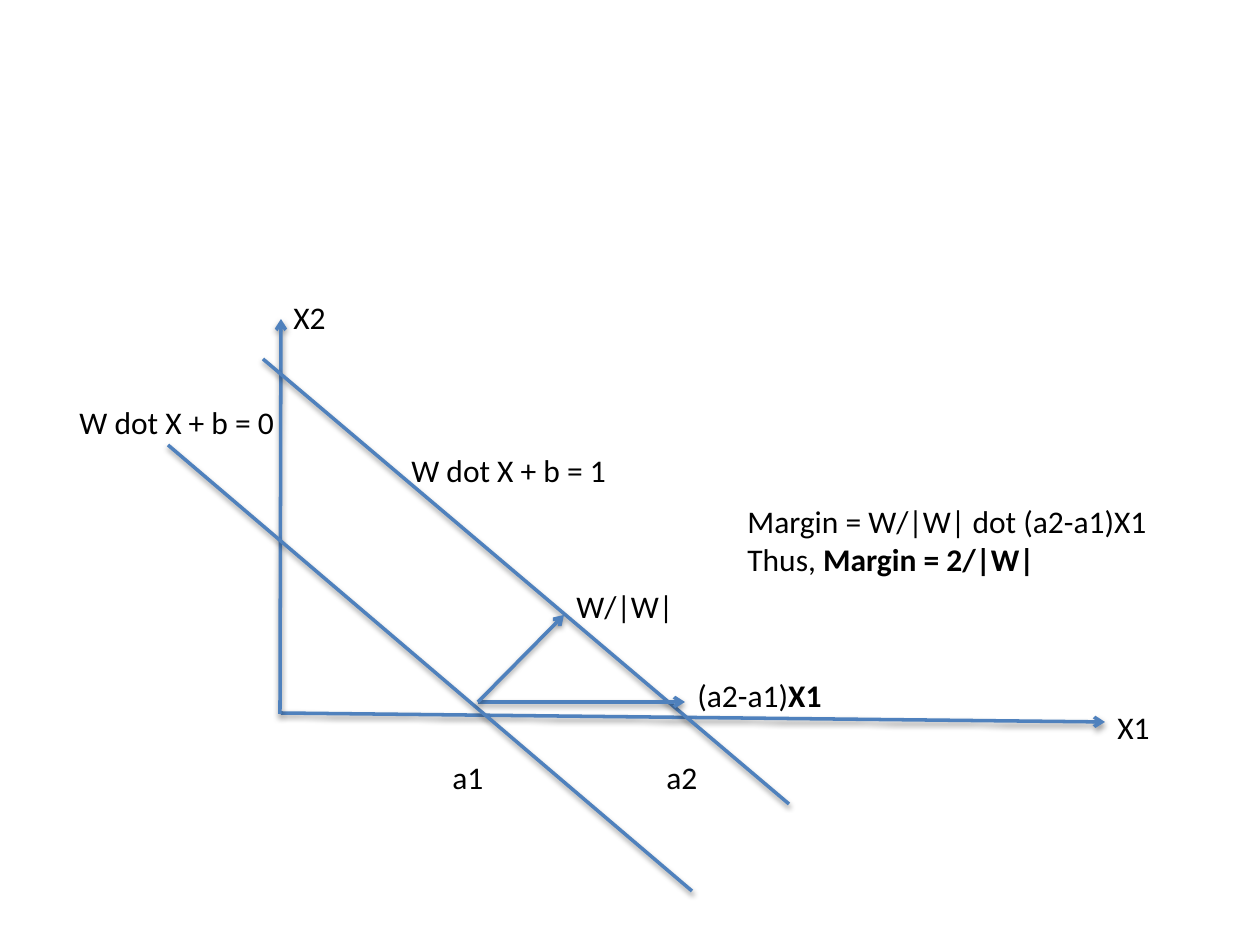
from typing import NamedTuple

from lxml import etree
from pptx import Presentation
from pptx.dml.color import RGBColor
from pptx.enum.shapes import MSO_CONNECTOR
from pptx.enum.text import MSO_AUTO_SIZE
from pptx.oxml import parse_xml
from pptx.oxml.ns import qn
from pptx.util import Pt

STRAIGHT = MSO_CONNECTOR.STRAIGHT
GROW = MSO_AUTO_SIZE.SHAPE_TO_FIT_TEXT
SCALE = 914400 / 126
BLUE, BLACK = "4F81BD", "000000"
FONT = "Calibri"
SHADOW = (
    '<a:effectLst xmlns:a="http://schemas.openxmlformats.org/drawingml/2006/main">'
    '<a:outerShdw blurRad="40000" dist="20000" dir="5400000" rotWithShape="0">'
    '<a:srgbClr val="000000"><a:alpha val="38000"/></a:srgbClr>'
    "</a:outerShdw></a:effectLst>"
)


class Line(NamedTuple):
    x1: int
    y1: int
    x2: int
    y2: int
    arrow: bool = False


class Label(NamedTuple):
    """Each row is a plain part followed by a bold part."""
    x: int
    y: int
    w: int
    h: int
    rows: list[tuple[str, str]]
    wrap: bool = False


AXES = [Line(281, 713, 1105, 722, True), Line(280, 714, 281, 319, True)]
PLANES = [Line(168, 445, 692, 891), Line(263, 359, 789, 804)]
VECTORS = [Line(478, 702, 685, 702, True), Line(478, 702, 564, 615, True)]

LABELS = [
    Label(399, 445, 222, 50, [("W dot X + b = 1", "")]),
    Label(67, 397, 222, 50, [("W dot X + b = 0", "")]),
    Label(440, 752, 92, 50, [("a1", "")], True),
    Label(654, 752, 57, 50, [("a2", "")]),
    Label(685, 670, 150, 50, [("(a2-a1)", "X1")]),
    Label(564, 581, 123, 50, [("W/|W|", "")]),
    Label(281, 292, 58, 50, [("X2", "")]),
    Label(1105, 702, 58, 50, [("X1", "")]),
    Label(735, 496, 426, 88, [("Margin = W/|W| dot (a2-a1)X1", ""),
                              ("Thus, ", "Margin = 2/|W|")]),
]


def px(n: int) -> int:
    return round(n * SCALE)


def color(code: str) -> RGBColor:
    return RGBColor.from_string(code)


def draw_line(slide, item: Line) -> None:
    ends = map(px, item[:4])
    line = slide.shapes.add_connector(STRAIGHT, *ends)
    line.line.color.rgb = color(BLUE)
    line.line.width = Pt(2)
    props = line._element.spPr
    if item.arrow:
        etree.SubElement(props.find(qn("a:ln")), qn("a:tailEnd"), type="arrow")
    props.append(parse_xml(SHADOW))


def draw_label(slide, item: Label) -> None:
    box = slide.shapes.add_textbox(*map(px, item[:4]))
    frame = box.text_frame
    frame.word_wrap = item.wrap
    frame.auto_size = GROW
    frame.text = "\n".join(plain for plain, _ in item.rows)
    for para, (_, bold) in zip(frame.paragraphs, item.rows):
        if bold:
            run = para.add_run()
            run.text = bold
            run.font.bold = True
        for run in para.runs:
            run.font.name = FONT
            run.font.size = Pt(18)
            run.font.color.rgb = color(BLACK)


def main() -> None:
    deck = Presentation()
    deck.slide_width, deck.slide_height = px(1260), px(945)
    slide = deck.slides.add_slide(deck.slide_layouts[6])
    for line in AXES + PLANES + VECTORS:
        draw_line(slide, line)
    for label in LABELS:
        draw_label(slide, label)
    deck.save("out.pptx")


if __name__ == "__main__":
    main()
